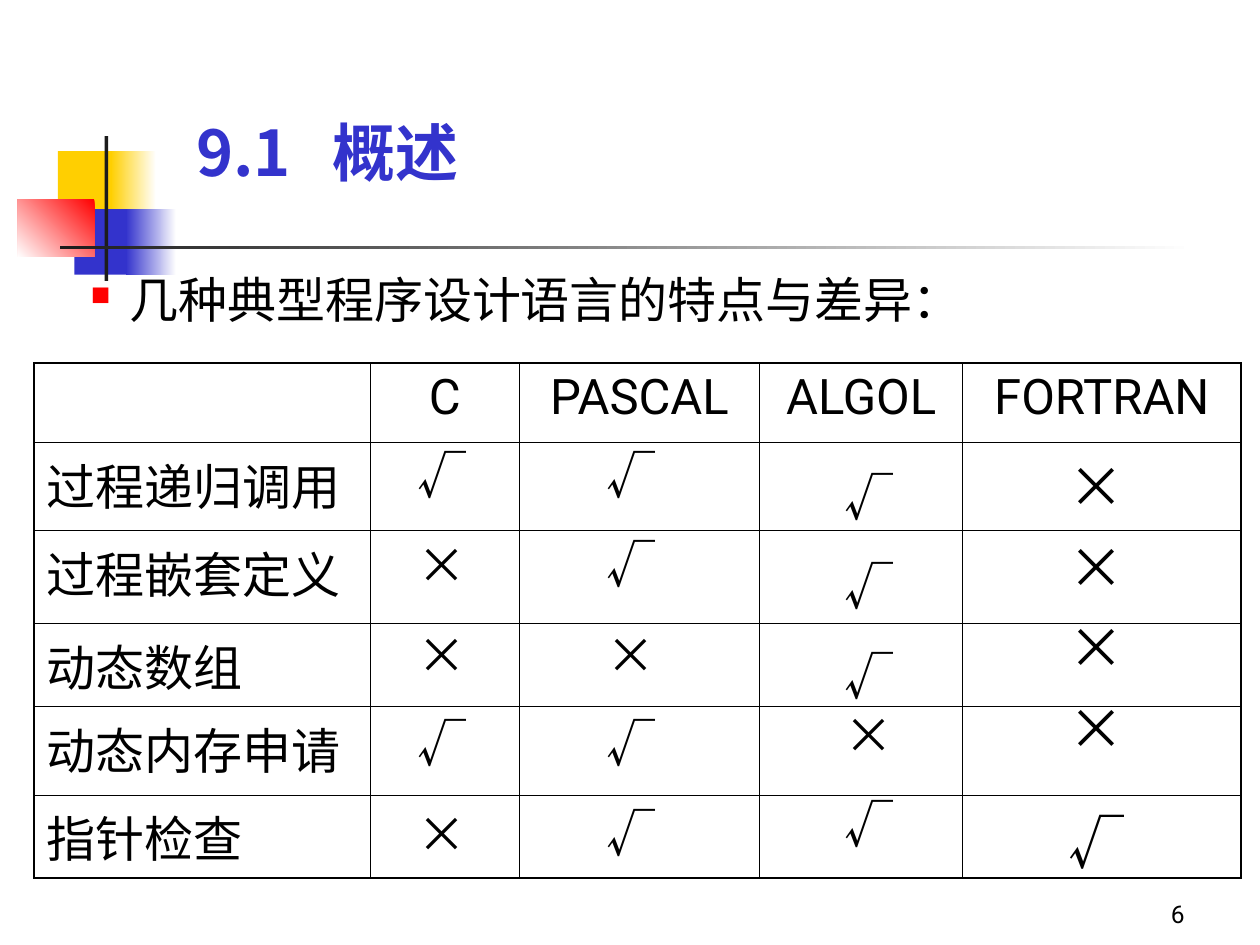
"""Build the slide that compares the features of four programming languages."""
from lxml import etree
from pptx import Presentation
from pptx import util as u
from pptx.dml.color import RGBColor
from pptx.enum import shapes, text
from pptx.oxml.ns import qn

BLACK = RGBColor(0x00, 0x00, 0x00)
WHITE = RGBColor(0xFF, 0xFF, 0xFF)
YELLOW = RGBColor(0xFF, 0xCF, 0x01)
BLUE = RGBColor(0x33, 0x33, 0xCC)
RED = RGBColor(0xFF, 0x00, 0x00)
CHARCOAL = RGBColor(0x1C, 0x1C, 0x1C)
LATIN, CHINESE = "Roboto", "Noto Sans CJK SC"
LEFT, CENTER, RIGHT = text.PP_ALIGN.LEFT, text.PP_ALIGN.CENTER, text.PP_ALIGN.RIGHT
TOP, BOTTOM = text.MSO_ANCHOR.TOP, text.MSO_ANCHOR.BOTTOM

deck = Presentation()
deck.slide_width, deck.slide_height = u.Inches(10), u.Inches(7.5)
slide = deck.slides.add_slide(deck.slide_layouts[6])
GRID = deck.slide_width / 100


def cells(*counts):
    return [round(count * GRID) for count in counts]


def write(frame, lines, size=28, font=LATIN, color=BLACK, bold=False, align=LEFT,
          anchor=TOP, gap=0, pitch=None, bullet=False, tab=None):
    frame.word_wrap = True
    frame.vertical_anchor = anchor
    for number, line in enumerate(lines):
        paragraph = frame.paragraphs[0] if number == 0 else frame.add_paragraph()
        paragraph.alignment = align
        if number and gap:
            paragraph.space_before = u.Pt(gap)
        if pitch:
            paragraph.line_spacing = u.Pt(pitch)
        props = paragraph._p.get_or_add_pPr()
        if bullet:
            indent, hang = cells(8.1, 3.1)
            props.set("marL", str(indent))
            props.set("indent", str(-hang))
            bullet_color = etree.SubElement(props, qn("a:buClr"))
            etree.SubElement(bullet_color, qn("a:srgbClr"), val=str(RED))
            etree.SubElement(props, qn("a:buSzPct"), val="55000")
            etree.SubElement(props, qn("a:buChar"), char="■")
        if tab:
            stops = etree.SubElement(props, qn("a:tabLst"))
            etree.SubElement(stops, qn("a:tab"), pos=str(cells(tab)[0]), algn="l")
        run = paragraph.add_run()
        run.text = line
        run.font.size, run.font.name, run.font.bold = u.Pt(size), font, bold
        run.font.color.rgb = color
        etree.SubElement(run._r.get_or_add_rPr(), qn("a:ea"), typeface=CHINESE)


ornament = [
    ((4.6, 12, 4.8, 5.2), [YELLOW], 0),
    ((8.8, 12, 3.6, 5.2), [WHITE, YELLOW], 180),
    ((5.9, 16.6, 4.6, 5.2), [BLUE], 0),
    ((10, 16.6, 4, 5.2), [WHITE, BLUE], 180),
    ((1.4, 15.8, 6.1, 4.6), [RED, WHITE], 225),
    ((8.3, 10.8, 0.3, 11.5), [CHARCOAL], 0),
    ((4.8, 19.5, 90, 0.3), [WHITE, CHARCOAL], 180),
]
for area, colors, angle in ornament:
    block = slide.shapes.add_shape(shapes.MSO_SHAPE.RECTANGLE, *cells(*area))
    block.shadow.inherit = False
    block.line.fill.background()
    if len(colors) == 1:
        block.fill.solid()
        block.fill.fore_color.rgb = colors[0]
    else:
        block.fill.gradient()
        block.fill.gradient_angle = angle
        for stop, color in zip(block.fill.gradient_stops, colors):
            stop.color.rgb = color

heading = slide.shapes.add_textbox(*cells(14.6, 6.8, 83.2, 8.7))
write(heading.text_frame, ["9.1\t概述"], size=36, font=CHINESE, color=BLUE, bold=True,
      anchor=BOTTOM, tab=10.8)
topic = slide.shapes.add_textbox(*cells(1.2, 20.9, 85.8, 6.3))
write(topic.text_frame, ["几种典型程序设计语言的特点与差异："], bullet=True)

languages = ["", "C", "PASCAL", "ALGOL", "FORTRAN"]
features = ["过程递归调用", "过程嵌套定义", "动态数组", "动态内存申请", "指针检查"]
column_widths = cells(26.7, 11.8, 19.1, 16.1, 22.1)
row_heights = cells(6.3, 7, 7.4, 6.6, 7, 6.6)
last_row, last_column = len(features), len(languages) - 1
comparison = slide.shapes.add_table(last_row + 1, last_column + 1,
                                    *cells(2.7, 28.8, 95.8, 40.9)).table
comparison.first_row = comparison.horz_banding = False
for column, width in zip(comparison.columns, column_widths):
    column.width = width
for row, height in zip(comparison.rows, row_heights):
    row.height = height
for r in range(last_row + 1):
    for c in range(last_column + 1):
        cell = comparison.cell(r, c)
        edges = {"a:lnL": c == 0, "a:lnR": c == last_column,
                 "a:lnT": r == 0, "a:lnB": r == last_row}
        for edge, outer in edges.items():
            width = u.Pt(1.08 if outer else 0.45)
            border = etree.SubElement(cell._tc.get_or_add_tcPr(), qn(edge), w=str(width))
            ink = etree.SubElement(border, qn("a:solidFill"))
            etree.SubElement(ink, qn("a:srgbClr"), val=str(BLACK))
        cell.fill.background()
        if r == 0 and c:
            write(cell.text_frame, [languages[c]], align=CENTER)
        elif r and c == 0:
            write(cell.text_frame, [features[r - 1]])

marks = [
    ((31.1, 34.8, 7.9, 34.1), ["√", "×", "×", "√", "×"], 28, 17.5, 33.6),
    ((46.1, 34.8, 7.9, 34.1), ["√", "√", "×", "√", "√"], 28, 17.5, 33.6),
    ((65, 36.6, 7.9, 31.6), ["√", "√", "√ ×", "√"], 28, 17.5, 33.6),
    ((83.1, 34.2, 7.9, 35.8), ["× × × ×", "√"], 32, 20, 46),
]
for area, answers, size, gap, pitch in marks:
    answer_column = slide.shapes.add_textbox(*cells(*area))
    write(answer_column.text_frame, answers, size=size, font=CHINESE, align=CENTER,
          anchor=BOTTOM, gap=gap, pitch=pitch)

page_number = slide.shapes.add_textbox(*cells(74.2, 69.2, 20.8, 5))
write(page_number.text_frame, ["6"], size=14, align=RIGHT, anchor=BOTTOM)

deck.save("out.pptx")
